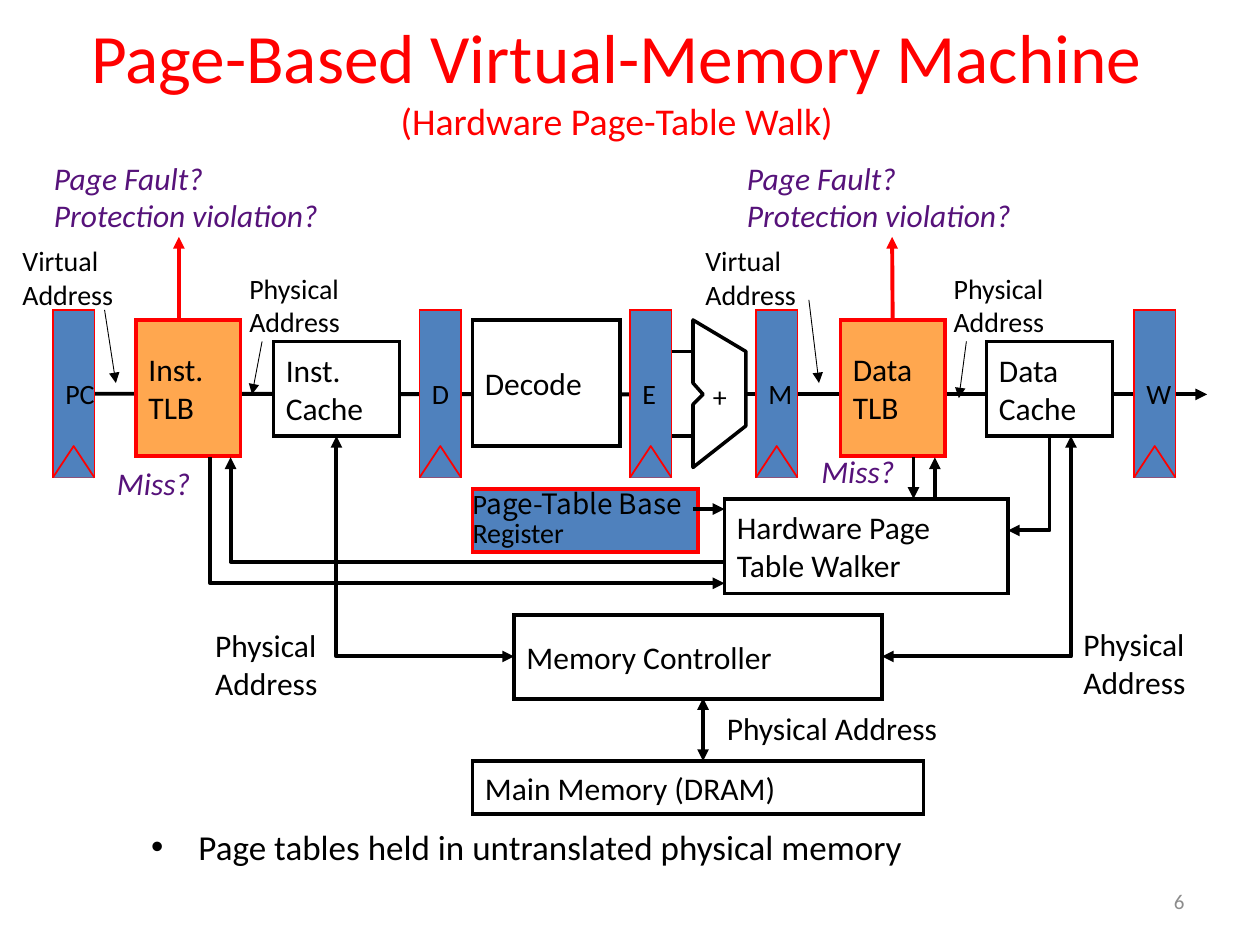
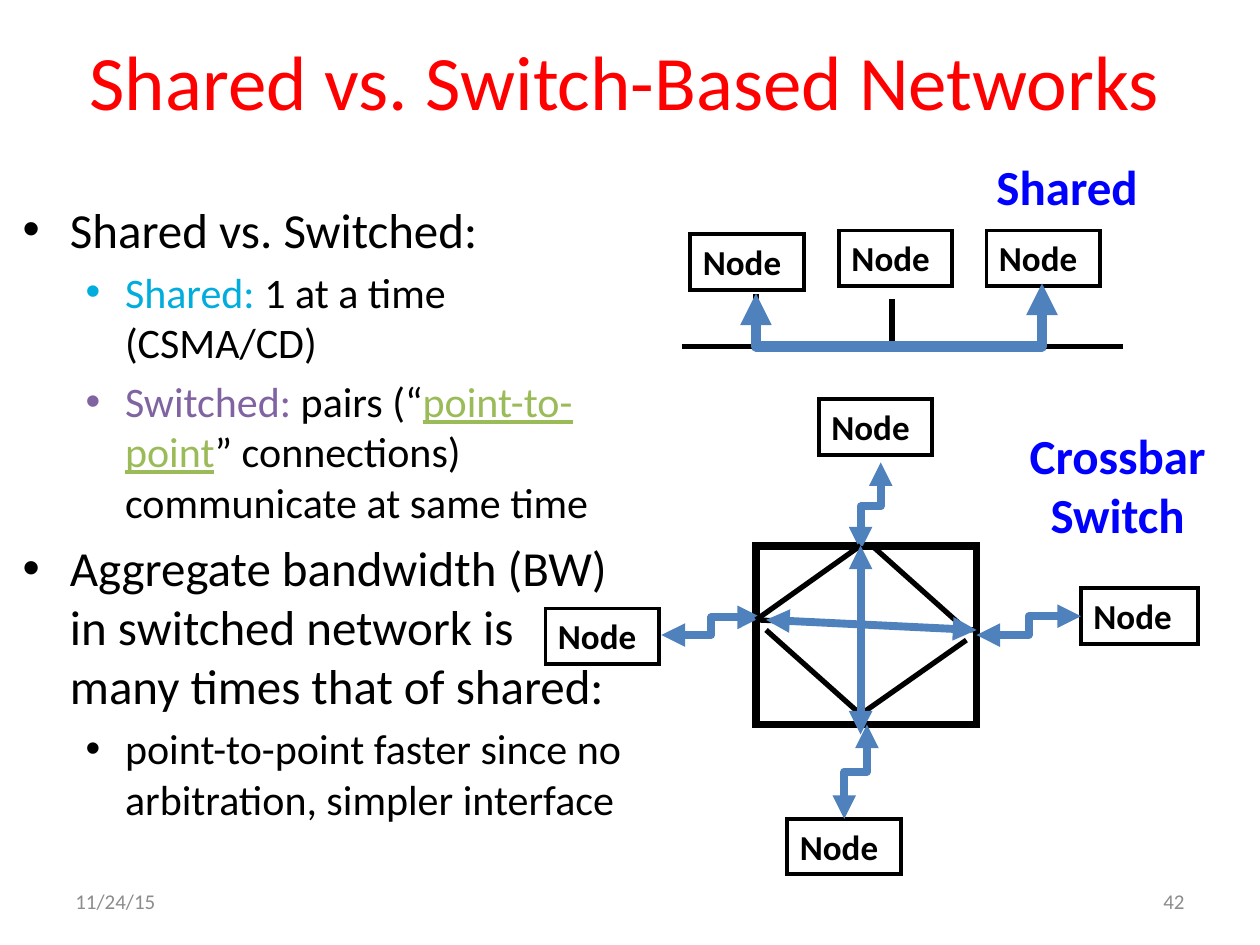
from dataclasses import dataclass
from lxml import etree
from pptx import Presentation
from pptx import util as u
from pptx.dml import color as dc
from pptx.enum import shapes as es
from pptx.enum import text as et
from pptx.oxml import ns


@dataclass(frozen=True)
class Theme:
    font: str = "Calibri"
    wide: str = "Noto Sans CJK JP"
    ink: str = "000000"
    paper: str = "FFFFFF"
    red: str = "FF0000"
    steel: str = "4F81BD"
    amber: str = "FFA74F"
    plum: str = "56127A"
    blue: str = "0000FF"
    cyan: str = "00ADDC"
    violet: str = "8064A2"
    green: str = "9BBB59"
    gray: str = "8C8C8C"
    title: float = 44
    lead: float = 39.6
    sub: float = 21.6
    head: float = 28
    item: float = 24
    node: float = 20
    label: float = 18
    small: float = 16
    foot: float = 12


T = Theme()
MID, TOP = et.MSO_ANCHOR.MIDDLE, et.MSO_ANCHOR.TOP
LEFT, CENTER, RIGHT = et.PP_ALIGN.LEFT, et.PP_ALIGN.CENTER, et.PP_ALIGN.RIGHT
BOTH = ("head", "tail")
HEAD, TAIL = BOTH[:1], BOTH[1:]


def cm(inch):
    return u.Cm(inch * 2.54)


def rgb(code):
    return dc.RGBColor.from_string(code)


def assign(thing, values):
    for key, value in values.items():
        setattr(thing, key, value)


class Deck:
    def __init__(self):
        self.show = Presentation()
        assign(self.show, {"slide_width": cm(10), "slide_height": cm(7.5)})
        self.slide = None

    @property
    def shapes(self):
        return self.slide.shapes

    def start(self, page, date=None):
        self.slide = self.show.slides.add_slide(self.show.slide_layouts[1])
        foot = {"size": T.foot, "color": T.gray}
        if date:
            self.note((0.5, 6.95, 2.33, 0.4), date, **foot)
        self.note((7.17, 6.95, 2.33, 0.4), page, align=RIGHT, **foot)

    def place(self, shape, at):
        assign(shape, dict(zip(("left", "top", "width", "height"), map(cm, at))))

    def letter(self, para, runs, size, color=T.ink, **form):
        if isinstance(runs, str):
            runs = [(runs, {})]
        for words, extra in runs:
            look = {"size": size, "color": color, "name": T.font, **form, **extra}
            tint = look.pop("color")
            look["size"] = u.Pt(look["size"])
            for i, line in enumerate(words.split("\n")):
                if i:
                    para.add_line_break()
                if line:
                    run = para.add_run()
                    run.text = line
                    assign(run.font, look)
                    run.font.color.rgb = rgb(tint)

    def fill(self, shape, lines, size, anchor=MID, align=LEFT, wrap=True, **form):
        frame = shape.text_frame
        assign(frame, {"word_wrap": wrap, "auto_size": et.MSO_AUTO_SIZE.NONE,
                       "vertical_anchor": anchor})
        for i, line in enumerate(lines):
            para = frame.add_paragraph() if i else frame.paragraphs[0]
            para.alignment = align
            self.letter(para, line, size, **form)

    def title(self, at, runs, size):
        shape = self.shapes.title
        self.place(shape, at)
        self.fill(shape, [runs], size, align=CENTER, color=T.red)

    def items(self, at, rows):
        shape = self.slide.placeholders[1]
        self.place(shape, at)
        frame = shape.text_frame
        frame.auto_size = et.MSO_AUTO_SIZE.NONE
        for i, (level, size, runs) in enumerate(rows):
            para = frame.add_paragraph() if i else frame.paragraphs[0]
            para.level = level
            if not i:
                para.space_before = u.Pt(0)
            props = para._p.get_or_add_pPr()
            etree.SubElement(props, ns.qn("a:buFont"), typeface="Arial")
            etree.SubElement(props, ns.qn("a:buChar"), char="•")
            self.letter(para, runs, size)

    def note(self, at, words, size=T.label, **form):
        shape = self.shapes.add_textbox(*map(cm, at))
        self.fill(shape, words.split("\n"), size, **form)

    def stroke(self, shape, color, width, ends=(), sharp=False):
        shape.line.color.rgb = rgb(color)
        shape.line.width = u.Pt(width)
        edge = shape.line._get_or_add_ln()
        if sharp:
            etree.SubElement(edge, ns.qn("a:miter"), lim="800000")
        for end in BOTH:
            if end in ends:
                etree.SubElement(edge, ns.qn(f"a:{end}End"), type="triangle")

    def paint(self, shape, color):
        shape.shadow.inherit = False
        if color:
            shape.fill.solid()
            shape.fill.fore_color.rgb = rgb(color)
        else:
            shape.fill.background()

    def box(self, at, words="", back=T.paper, edge=T.ink, width=2, size=T.label, **form):
        shape = self.shapes.add_shape(es.MSO_SHAPE.RECTANGLE, *map(cm, at))
        self.paint(shape, back)
        self.stroke(shape, edge, width, sharp=True)
        if words:
            self.fill(shape, [words], size, **form)
        return shape

    def trace(self, points, color=T.ink, width=2.25, ends=(), back=None, close=False):
        spots = [(cm(x), cm(y)) for x, y in points]
        pen = self.shapes.build_freeform(*spots[0])
        pen.add_line_segments(spots[1:], close=close)
        shape = pen.convert_to_shape()
        self.paint(shape, back)
        self.stroke(shape, color, width, ends)

    def line(self, x1, y1, x2, y2, color=T.ink, width=2.25, ends=(),
             kind=es.MSO_CONNECTOR.STRAIGHT):
        link = self.shapes.add_connector(kind, *map(cm, (x1, y1, x2, y2)))
        self.stroke(link, color, width, ends)
        etree.SubElement(link._element.spPr, ns.qn("a:effectLst"))
        return link

    def bend(self, x1, y1, x2, y2, tall=False):
        if tall:
            mx, my = (x1 + x2) / 2, (y1 + y2) / 2
            dx, dy = (y2 - y1) / 2, (x1 - x2) / 2
            x1, y1, x2, y2 = mx - dx, my - dy, mx + dx, my + dy
        link = self.line(x1, y1, x2, y2, T.steel, 4.5, BOTH, es.MSO_CONNECTOR.ELBOW)
        if tall:
            link._element.spPr.find(ns.qn("a:xfrm")).set("rot", "5400000")

    def latch(self, x, name):
        top, wide, high = 2.46, 0.33, 1.33
        shape = self.box((x, top, wide, high), name, T.steel, T.red, 1, T.small, wrap=False)
        base = top + high
        self.trace([(x, base), (x + wide / 2, base - 0.25), (x + wide, base)],
                   T.red, 1, back=T.steel)
        return shape

    def node(self, x, y, wide=0.9):
        self.box((x, y, wide, 0.44), "Node", None, width=2.25, size=T.node,
                 anchor=TOP, bold=True)


def machine(deck):
    deck.start("6")
    deck.title((0.17, 0.17, 9.45, 0.91),
               [("Page-Based Virtual-Memory Machine\n", {}),
                ("(Hardware Page-Table Walk)", {"size": T.sub})], T.lead)
    deck.items((1.1, 6.5, 8.4, 0.44),
               [(0, T.node, "Page tables held in untranslated physical memory")])

    deck.line(5.92, 3.13, 9.58, 3.13, ends=TAIL)
    feed = deck.line(0.75, 3.13, 5.25, 3.13)
    latches = [deck.latch(x, name) for x, name in
               ((0.42, "PC"), (3.33, "D"), (5, "E"), (6, "M"), (9, "W"))]
    feed.begin_connect(latches[0], 3)

    for at, words in (((2.17, 2.71, 1, 0.75), "Inst. Cache"),
                      ((3.75, 2.54, 1.17, 1), "Decode"),
                      ((7.83, 2.71, 1, 0.75), "Data Cache"),
                      ((3.75, 6.04, 3.58, 0.42), "Main Memory (DRAM)"),
                      ((4.08, 4.88, 2.92, 0.67), "Memory Controller"),
                      ((5.75, 3.96, 2.25, 0.75), "Hardware Page Table Walker")):
        deck.box(at, words)
    deck.box((1.08, 2.54, 0.83, 1.08), "Inst. TLB", T.amber, T.red)
    data = deck.box((6.67, 2.54, 0.83, 1.08), "Data TLB", T.amber, T.red)

    deck.trace([(5.5, 2.54), (5.5, 3.04), (5.58, 3.13), (5.5, 3.21), (5.5, 3.71),
                (5.92, 3.38), (5.92, 2.79)], width=2, back=T.paper, close=True)
    for y in (2.79, 3.46):
        deck.line(5.33, y, 5.5, y)
    deck.note((5.56, 2.96, 0.38, 0.37), "+", T.small)

    base = deck.box((3.75, 3.88, 1.79, 0.5),
                    [("P", {}), ("age-Table Base", {"name": T.wide}), (" Register", {})],
                    T.steel, T.red, size=T.small)
    assign(base.text_frame, {f"margin_{side}": 0 for side in
                             ("left", "top", "right", "bottom")})
    base.text_frame.paragraphs[0].line_spacing = 0.85

    deck.line(1.42, 2.54, 1.42, 1.88, T.red, ends=TAIL)
    deck.line(7.08, 2.54, 7.08, 1.88, T.red, ends=TAIL).begin_connect(data, 0)
    for ends, *spots in ((BOTH, (8.5, 3.46), (8.5, 5.21), (7, 5.21)),
                         (BOTH, (2.67, 3.46), (2.67, 5.21), (4.08, 5.21)),
                         (HEAD, (8, 4.21), (8.33, 4.21), (8.33, 3.46)),
                         (TAIL, (1.67, 3.63), (1.67, 4.63), (5.75, 4.63)),
                         (HEAD, (1.83, 3.63), (1.83, 4.46), (5.75, 4.46))):
        deck.trace(spots, ends=ends)
    deck.line(5.58, 5.54, 5.58, 6.04, ends=BOTH)
    for spots in ((5.5, 4.04, 5.75, 4.04), (7.25, 3.63, 7.25, 3.96),
                  (7.42, 3.96, 7.42, 3.63)):
        deck.line(*spots, ends=TAIL)
    for spots in ((2.08, 2.71, 2, 3.13), (0.83, 2.46, 0.92, 3.04),
                  (7.67, 2.71, 7.61, 3.16), (6.42, 2.38, 6.5, 3.04)):
        deck.line(*spots, width=0.5, ends=TAIL)

    alert = {"color": T.plum, "italic": True}
    for x in (0.33, 5.83):
        deck.note((x, 1.21, 2.75, 0.7), "Page Fault?\nProtection violation?", **alert)
    for x, y in ((0.83, 3.63), (6.42, 3.54)):
        deck.note((x, y, 0.88, 0.4), "Miss?", **alert)
    for x, y, name in ((1.88, 2.1, "Physical"), (7.47, 2.1, "Physical"),
                       (0.08, 1.88, "Virtual"), (5.5, 1.88, "Virtual")):
        deck.note((x, y, 1.22, 0.64), f"{name} Address", T.small)
    for at in ((8.5, 4.91, 1.22, 0.7), (1.61, 4.92, 1.22, 0.7), (5.67, 5.58, 2.67, 0.4)):
        deck.note(at, "Physical Address")


def networks(deck):
    deck.start("42", "11/24/15")
    deck.title((0.42, 0.17, 9.08, 0.92), "Shared vs. Switch-Based Networks", T.title)
    deck.items((0.08, 1.53, 5.12, 5.81), [
        (0, T.head, "Shared vs. Switched:"),
        (1, T.item, [("Shared: ", {"color": T.cyan}), ("1 at a time (CSMA/CD)", {})]),
        (1, T.item, [("Switched:", {"color": T.violet}), (" pairs (“", {}),
                     ("point-to-point", {"color": T.green, "underline": True}),
                     ("” connections) communicate at same time", {})]),
        (0, T.head, "Aggregate bandwidth (BW) in switched network is\n"
                    "many times that of shared:"),
        (1, T.item, "point-to-point faster since no arbitration, simpler interface")])

    for x, y in ((5.48, 1.86), (6.66, 1.83), (7.83, 1.83),
                 (4.33, 4.83), (6.25, 6.5), (6.5, 3.17)):
        deck.node(x, y)
    deck.node(8.58, 4.67, 0.93)

    for spots in ((5.41, 2.75, 8.91, 2.75), (8.25, 2.33, 8.25, 2.67),
                  (7.08, 2.37, 7.08, 2.75), (6, 2.33, 6, 2.67)):
        deck.line(*spots, width=3)
    deck.trace([(6, 2.33), (6, 2.75), (8.27, 2.75), (8.27, 2.25)], T.steel, 6, BOTH)

    name = {"size": T.head, "color": T.blue, "bold": True, "anchor": TOP}
    deck.note((7.81, 1.19, 1.52, 0.57), "Shared", **name)
    deck.note((7.83, 3.33, 2.08, 1.04), "Crossbar\nSwitch", align=CENTER, **name)

    deck.box((6, 4.33, 1.75, 1.42), back=None, width=4.5)
    deck.bend(6.7, 6.5, 6.88, 5.75, tall=True)
    deck.bend(8.58, 4.89, 7.75, 5.04)
    deck.bend(6.04, 4.9, 5.25, 5.04)
    deck.bend(6.83, 4.37, 6.99, 3.67, tall=True)
    for spots in ((6, 4.92, 7.75, 5), (6, 4.92, 6.83, 4.33), (6.08, 5, 6.83, 5.67),
                  (6.92, 4.33, 7.67, 5), (6.83, 5.67, 7.67, 5.08),
                  (6.83, 4.33, 6.83, 5.67)):
        deck.line(*spots, width=3)
    for spots in ((6.08, 4.92, 7.75, 5), (6.83, 4.33, 6.83, 5.83)):
        deck.line(*spots, T.steel, 4.5, BOTH)


def main():
    deck = Deck()
    machine(deck)
    networks(deck)
    deck.show.save("out.pptx")


if __name__ == "__main__":
    main()
